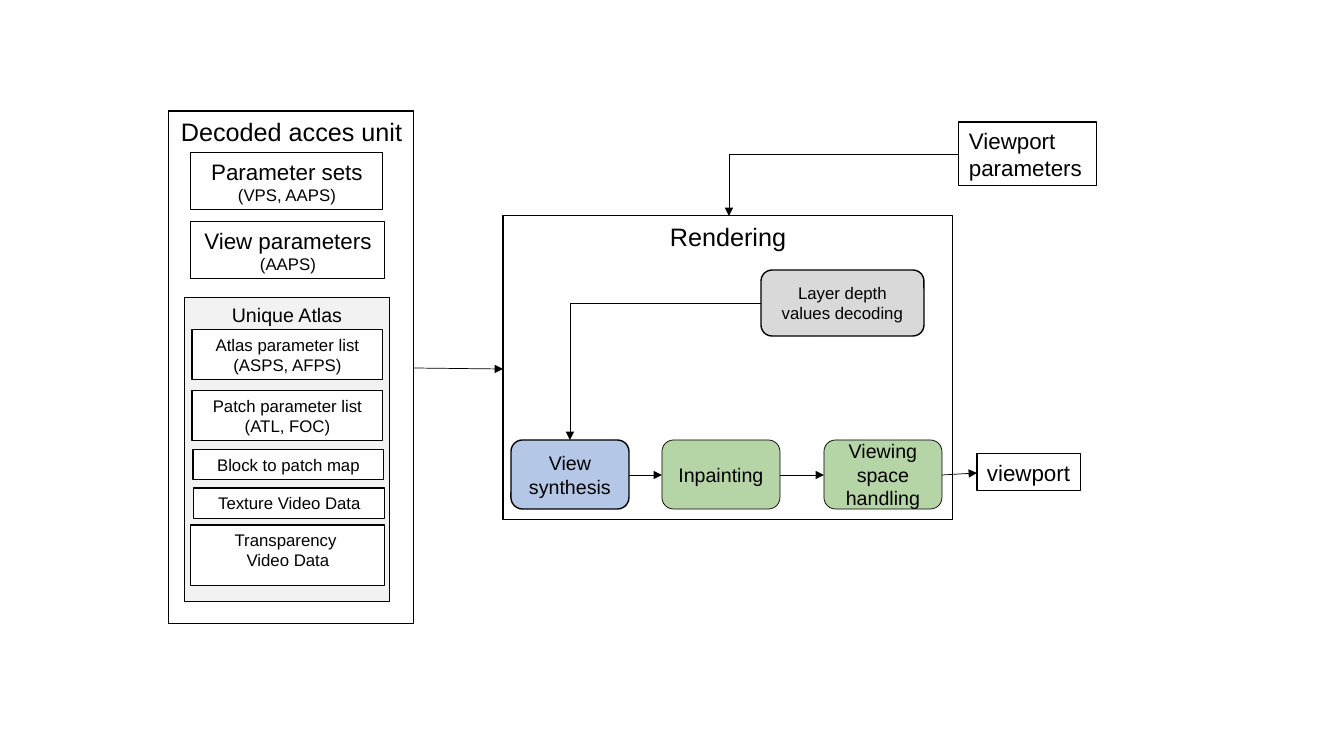
from dataclasses import dataclass
from lxml.etree import SubElement
from pptx import Presentation
from pptx.dml.color import RGBColor
from pptx.enum.shapes import MSO_CONNECTOR, MSO_SHAPE
from pptx.enum.text import MSO_ANCHOR, PP_ALIGN
from pptx.oxml.ns import qn
from pptx.shapes.shapetree import SlideShapes
from pptx.util import Pt

SCALE = 914400 / 100.8
FONT = "Arial"
COLORS = {
    "black": "000000",
    "white": "FFFFFF",
    "pale": "F2F2F2",
    "gray": "D9D9D9",
    "blue": "B4C7E7",
    "green": "B5D5A7",
}


@dataclass
class Box:
    text: str
    left: int
    top: int
    width: int
    height: int
    sizes: tuple[int, ...] = (12, 12)
    fill: str = "white"
    line: float = 0.75
    round: bool = False
    wrap: bool = True
    align: PP_ALIGN = PP_ALIGN.CENTER


@dataclass
class Arrow:
    start: tuple[int, int]
    end: tuple[int, int]
    bent: bool = False


def emu(pixels: int) -> int:
    return round(pixels * SCALE)


def color(name: str) -> RGBColor:
    return RGBColor.from_string(COLORS[name])


def draw_box(shapes: SlideShapes, box: Box) -> None:
    kind = MSO_SHAPE.ROUNDED_RECTANGLE if box.round else MSO_SHAPE.RECTANGLE
    shape = shapes.add_shape(
        kind, emu(box.left), emu(box.top), emu(box.width), emu(box.height)
    )
    shape.shadow.inherit = False
    shape.fill.solid()
    shape.fill.fore_color.rgb = color(box.fill)
    shape.line.color.rgb = color("black")
    shape.line.width = Pt(box.line)
    frame = shape.text_frame
    frame.word_wrap = box.wrap
    frame.vertical_anchor = MSO_ANCHOR.MIDDLE if box.round else MSO_ANCHOR.TOP
    frame.text = box.text
    for para, size in zip(frame.paragraphs, box.sizes):
        para.alignment = box.align
        for run in para.runs:
            run.font.name = FONT
            run.font.size = Pt(size)
            run.font.color.rgb = color("black")


def draw_arrow(shapes: SlideShapes, arrow: Arrow) -> None:
    kind = MSO_CONNECTOR.ELBOW if arrow.bent else MSO_CONNECTOR.STRAIGHT
    ends = [emu(value) for value in arrow.start + arrow.end]
    link = shapes.add_connector(kind, *ends)
    link.line.color.rgb = color("black")
    link.line.width = Pt(0.5)
    props = link._element.spPr
    if arrow.bent:
        props.find(qn("a:prstGeom")).set("prst", "bentConnector2")
    SubElement(props.find(qn("a:ln")), qn("a:tailEnd"), type="triangle")
    SubElement(props, qn("a:effectLst"))


FRAMES = [
    Box("Rendering", 503, 216, 450, 304, (18,), wrap=False),
    Box("Decoded acces unit", 169, 111, 245, 513, (18,), wrap=False),
    Box("Unique Atlas", 184, 298, 206, 304, (14,), "pale", wrap=False),
]
INPUTS = [
    Box("Parameter sets\n(VPS, AAPS)", 191, 153, 192, 57, (16, 12)),
    Box("View parameters\n(AAPS)", 191, 222, 194, 57, (16, 12)),
    Box("Atlas parameter list\n(ASPS, AFPS)", 192, 330, 191, 50),
    Box("Patch parameter list\n(ATL, FOC)", 192, 391, 191, 50),
    Box("Block to patch map", 193, 450, 191, 30),
    Box("Texture Video Data", 194, 488, 191, 31),
    Box("Transparency\u00a0\nVideo Data", 191, 525, 194, 61, wrap=False),
]
VIEWS = [
    Box("Viewport\nparameters", 959, 122, 138, 64, (16, 16), align=PP_ALIGN.LEFT),
    Box("viewport", 977, 454, 104, 37, (16,), wrap=False, align=PP_ALIGN.LEFT),
]
STEPS = [
    Box("Layer depth\nvalues decoding", 761, 270, 163, 66, fill="gray", line=1, round=True)
] + [
    Box(text, left, 440, 118, 69, (14,), fill, line, round=True)
    for text, left, fill, line in [
        ("View synthesis", 511, "blue", 1),
        ("Inpainting", 662, "green", 0.5),
        ("Viewing space handling", 824, "green", 0.5),
    ]
]
ARROWS = [
    Arrow((959, 154), (729, 216), True),
    Arrow((761, 303), (570, 440), True),
    Arrow((414, 368), (503, 369)),
    Arrow((629, 475), (662, 475)),
    Arrow((780, 475), (824, 475)),
    Arrow((942, 475), (977, 473)),
]

deck = Presentation()
deck.slide_width = emu(1344)
deck.slide_height = emu(756)
slide = deck.slides.add_slide(deck.slide_layouts[6])
for box in FRAMES + INPUTS + VIEWS + STEPS:
    draw_box(slide.shapes, box)
for arrow in ARROWS:
    draw_arrow(slide.shapes, arrow)
deck.save("out.pptx")
